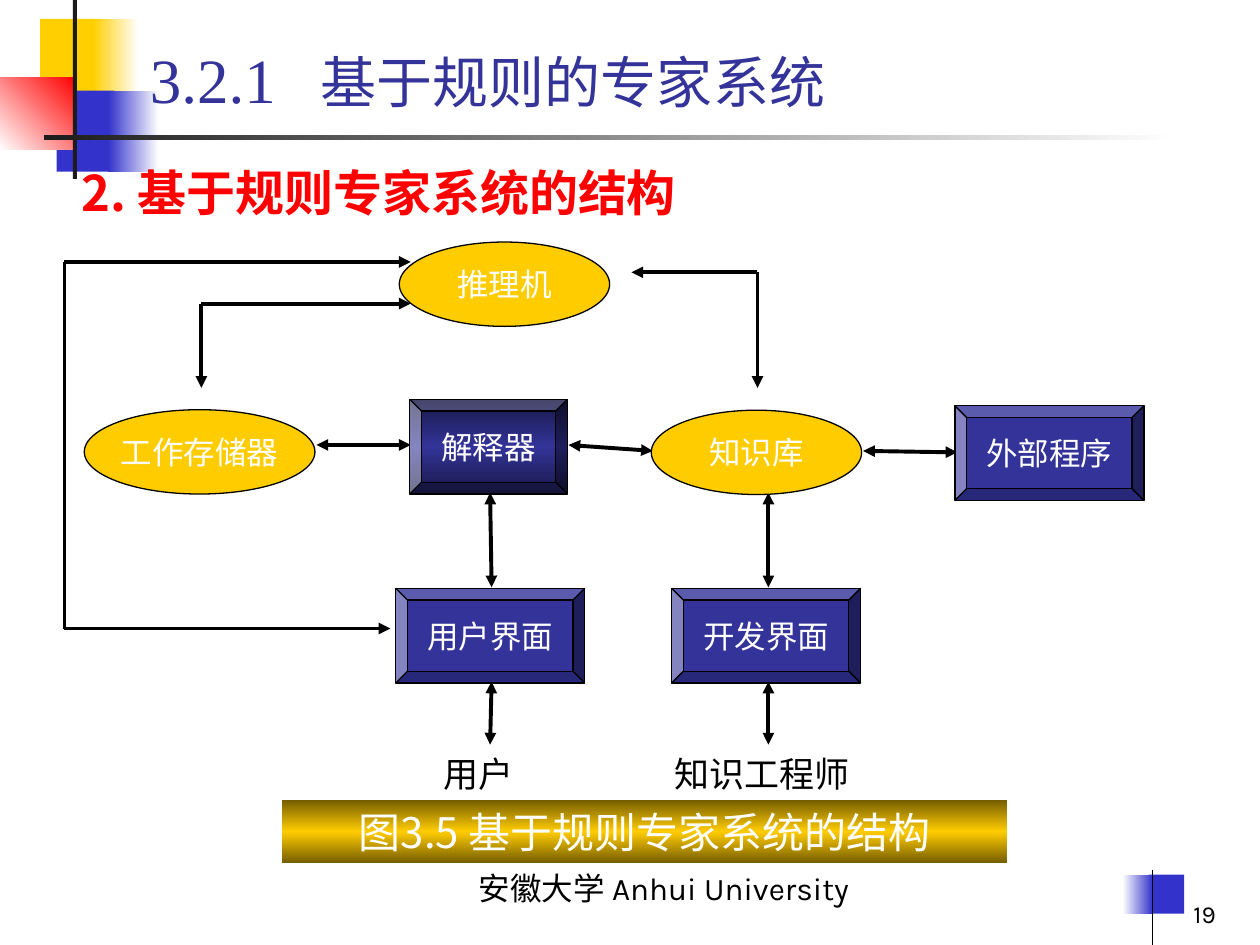
from lxml.etree import SubElement
from pptx import Presentation
from pptx.dml.color import RGBColor
from pptx.enum.shapes import MSO_CONNECTOR as CONN, MSO_SHAPE as SHAPE
from pptx.enum.text import MSO_ANCHOR as ANCHOR, MSO_AUTO_SIZE as AUTO, PP_ALIGN as ALIGN
from pptx.oxml.ns import qn
from pptx.util import Cm, Pt

CJK = "Noto Sans CJK SC"
BLACK, WHITE, BLUE, GOLD = "000000", "FFFFFF", "333399", "FFCC00"
SQUARE, DARK = "3333CC", "1C1C1C"

DECOR = [
    ((0.81, 0.38, 1.22, 1.63), "FFCF01"),
    ((1.88, 0.38, 0.91, 1.63), (["FFCF01", WHITE], 0)),
    ((1.14, 1.83, 1.17, 1.63), SQUARE),
    ((2.18, 1.83, 1.02, 1.63), (["3333CC", WHITE], 0)),
    ((0, 1.57, 1.55, 1.45), ([WHITE, "FF0000"], 315)),
    ((1.47, 0, 0.08, 3.61), DARK),
    ((0.89, 2.72, 22.86, 0.1), ([DARK, WHITE], 0)),
    ((23.16, 17.63, 0.71, 0.79), SQUARE),
    ((22.63, 17.63, 0.61, 0.79), ([WHITE, SQUARE], 0)),
]
CORNER_LINE = (23.24, 17.53, 23.24, 19.05)

BOX, OVAL = (3.81, 1.91), (4.24, 1.7)
NODES = [
    ("解释器", SHAPE.BEVEL, (8.26, 8.05), (3.18, 1.91), (["181847", BLUE, "181847"], 90)),
    ("用户界面", SHAPE.BEVEL, (7.98, 11.86), BOX, BLUE),
    ("开发界面", SHAPE.BEVEL, (13.54, 11.86), BOX, BLUE),
    ("外部程序", SHAPE.BEVEL, (19.25, 8.18), BOX, BLUE),
    ("工作存储器", SHAPE.OVAL, (1.7, 8.26), (4.65, 1.7), GOLD),
    ("推理机", SHAPE.OVAL, (8.05, 4.88), OVAL, GOLD),
    ("知识库", SHAPE.OVAL, (13.13, 8.27), OVAL, GOLD),
]

PLAIN_LINES = [(1.3, 5.28, 1.3, 12.67)]
ONE_WAY = [
    (4.06, 6.12, 4.06, 7.82),
    (4.06, 6.12, 8.28, 6.12),
    (1.3, 12.67, 7.87, 12.67),
    (1.3, 5.28, 8.28, 5.28),
    (15.27, 5.49, 15.27, 7.82),
    (15.27, 5.49, 12.73, 5.49),
]
TWO_WAY = [
    (6.38, 8.97, 8.28, 8.97),
    (11.46, 8.97, 13.16, 9.09),
    (17.4, 9.09, 19.3, 9.12),
    (9.88, 9.93, 9.91, 11.84),
    (15.49, 9.93, 15.49, 11.84),
    (9.91, 13.74, 9.88, 15.01),
    (15.49, 13.74, 15.49, 15.01),
]

HEADING = [("3.2.1\t", 36, "Times New Roman", BLUE),
           ("基于规则的专家系统", 32, "Times New Roman", BLUE)]
SUBTITLE = [("2. 基于规则专家系统的结构", 28, "Noto Sans CJK JP", "FF0000")]
CAPTION = [("图3.5 基于规则专家系统的结构", 24, CJK, WHITE)]
LABELS = [
    ((8.69, 15.04, 2.34, 1.12), [("用户", 20, "Arial", BLACK)], ALIGN.LEFT, ANCHOR.MIDDLE),
    ((13.34, 15.04, 4.24, 1.12), [("知识工程师", 20, "Arial", BLACK)], ALIGN.LEFT, ANCHOR.MIDDLE),
    ((7.29, 17.15, 12.19, 1.27), [("安徽大学 Anhui University", 18, "Karla", BLACK)],
     ALIGN.CENTER, ANCHOR.BOTTOM),
    ((19.48, 17.53, 5.28, 1.32), [("19", 14, "Karla", BLACK)], ALIGN.RIGHT, ANCHOR.BOTTOM),
    ((2.77, 0.51, 20.04, 1.96), HEADING, ALIGN.LEFT, ANCHOR.BOTTOM),
]


def rgb(value):
    return RGBColor.from_string(value)


def paint(sp, fill):
    if isinstance(fill, str):
        sp.fill.solid()
        sp.fill.fore_color.rgb = rgb(fill)
        return
    colors, angle = fill
    sp.fill.gradient()
    sp.fill.gradient_angle = -angle % 360
    stops = sp._element.spPr.find(qn("a:gradFill")).find(qn("a:gsLst"))
    for stop in list(stops):
        stops.remove(stop)
    for i, color in enumerate(colors):
        stop = SubElement(stops, qn("a:gs"), pos=str(100000 * i // (len(colors) - 1)))
        SubElement(stop, qn("a:srgbClr"), val=color)


def write(sp, runs, align, anchor, wrap=True, bold=False):
    tf = sp.text_frame
    tf.word_wrap, tf.auto_size, tf.vertical_anchor = wrap, AUTO.NONE, anchor
    tf.margin_left = tf.margin_right = Cm(0.25)
    tf.margin_top = tf.margin_bottom = Cm(0.13)
    p = tf.paragraphs[0]
    p.alignment = align
    for text, size, font, color in runs:
        r = p.add_run()
        r.text = text
        r.font.size, r.font.bold = Pt(size), bold
        r.font.color.rgb = rgb(color)
        r.font.name = font
        SubElement(r._r.get_or_add_rPr(), qn("a:ea"), typeface=font if "CJK" in font else CJK)
    return p


def add_block(s, kind, box, fill, outlined=False):
    sp = s.shapes.add_shape(kind, *map(Cm, box))
    sp.shadow.inherit = False
    paint(sp, fill)
    if outlined:
        sp.line.color.rgb = rgb(BLACK)
        sp.line.width = Pt(0.75)
    else:
        sp.line.fill.background()
    return sp


def add_line(s, points, width, ends=()):
    c = s.shapes.add_connector(CONN.STRAIGHT, *map(Cm, points))
    c.line.color.rgb = rgb(BLACK)
    c.line.width = Pt(width)
    for end in ends:
        SubElement(c.line._get_or_add_ln(), qn(end), type="triangle")
    SubElement(c._element.spPr, qn("a:effectLst"))


def main():
    prs = Presentation()
    prs.slide_width, prs.slide_height = Cm(25.4), Cm(19.05)
    s = prs.slides.add_slide(prs.slide_layouts[5])

    for box, fill in DECOR:
        add_block(s, SHAPE.RECTANGLE, box, fill)
    add_line(s, CORNER_LINE, 0.75)

    title = s.shapes.title
    title.left, title.top, title.width, title.height = map(Cm, (1.4, 3.05, 19.69, 1.55))
    write(title, SUBTITLE, ALIGN.LEFT, ANCHOR.BOTTOM, bold=True)
    s.shapes._spTree.append(title._element)

    caption = add_block(s, SHAPE.RECTANGLE, (5.69, 16.13, 14.61, 1.27),
                        (["765E00", GOLD, "765E00"], 90))
    write(caption, CAPTION, ALIGN.CENTER, ANCHOR.MIDDLE)

    for lines, ends in ((PLAIN_LINES, ()), (ONE_WAY, ("a:tailEnd",)),
                        (TWO_WAY, ("a:headEnd", "a:tailEnd"))):
        for points in lines:
            add_line(s, points, 2.25, ends)

    for text, kind, place, size, fill in NODES:
        sp = add_block(s, kind, place + size, fill, outlined=True)
        write(sp, [(text, 18, "Arial", WHITE)], ALIGN.CENTER, ANCHOR.MIDDLE, wrap=False)

    for box, runs, align, anchor in LABELS:
        sp = s.shapes.add_textbox(*map(Cm, box))
        p = write(sp, runs, align, anchor)
        if runs is HEADING:
            tabs = SubElement(p._p.get_or_add_pPr(), qn("a:tabLst"))
            SubElement(tabs, qn("a:tab"), pos=str(Cm(3.45)), algn="l")

    prs.save("out.pptx")


if __name__ == "__main__":
    main()
